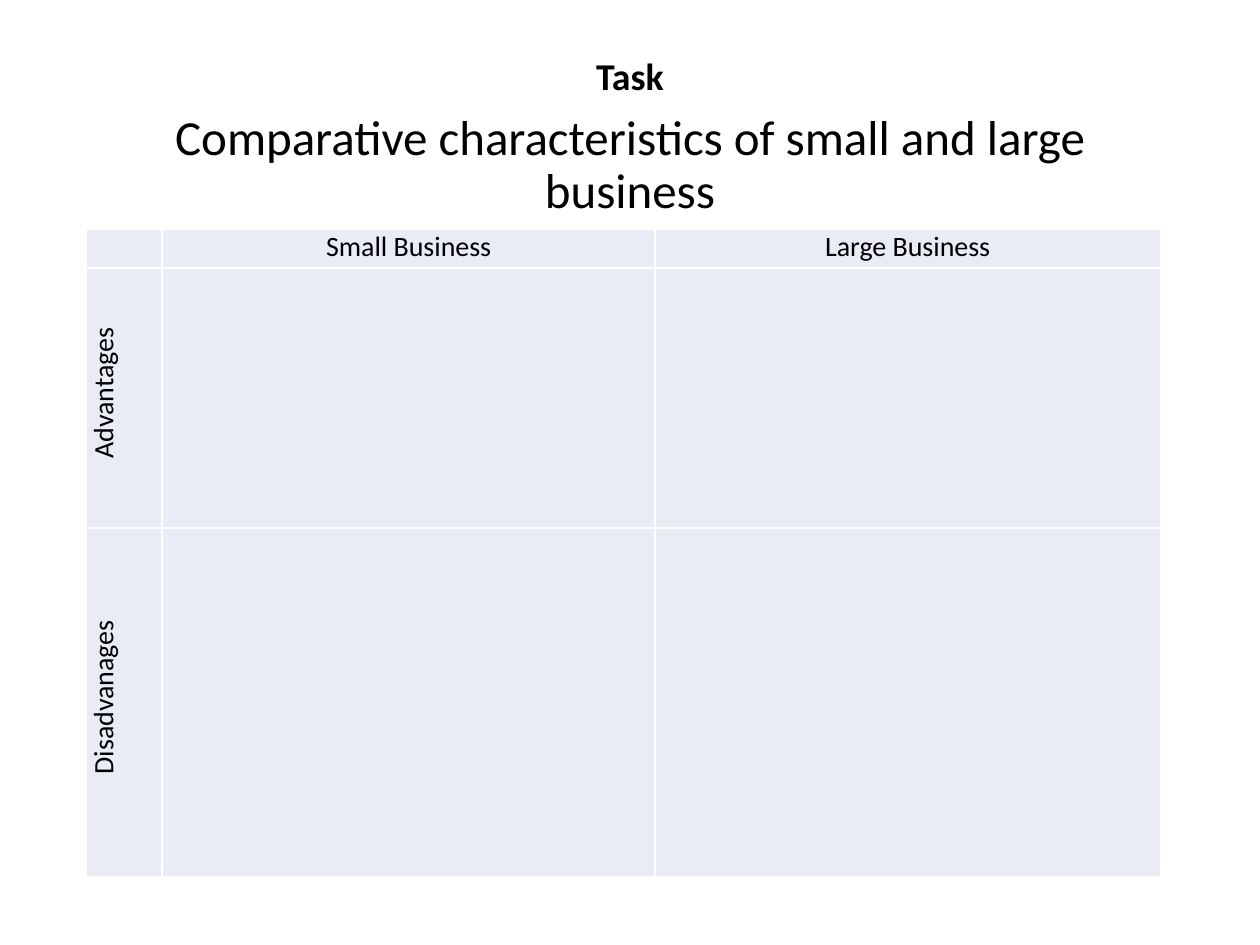
from dataclasses import dataclass

from lxml.etree import SubElement
from pptx import Presentation
from pptx.dml.color import RGBColor
from pptx.enum.text import MSO_ANCHOR, PP_ALIGN
from pptx.oxml.ns import qn
from pptx.util import Pt


@dataclass(frozen=True)
class Theme:
    font: str = "Calibri"
    text: str = "000000"
    cell: str = "E9EBF5"
    border: str = "FFFFFF"
    title_size: float = 21.6
    subtitle_size: float = 28
    table_size: float = 16
    border_width: float = 1


def write(frame, text, theme, size, bold=False, line_spacing=None, indent=0):
    """Fill the frame's first paragraph with one centred span."""
    para = frame.paragraphs[0]
    para.alignment = PP_ALIGN.CENTER
    if line_spacing:
        para.line_spacing = line_spacing
    if indent:
        para._p.get_or_add_pPr().set("marL", str(Pt(indent)))
    span = para.add_run()
    span.text = text
    span.font.name = theme.font
    span.font.size = Pt(size)
    span.font.bold = bold
    span.font.color.rgb = RGBColor.from_string(theme.text)


class SlideBuilder:
    def __init__(self, page, theme):
        self.page = page
        self.theme = theme

    def text(self, text, left, top, width, height, anchor=MSO_ANCHOR.TOP, **style):
        box = self.page.shapes.add_textbox(Pt(left), Pt(top), Pt(width), Pt(height))
        frame = box.text_frame
        frame.word_wrap = True
        frame.vertical_anchor = anchor
        write(frame, text, self.theme, line_spacing=0.9, **style)

    def border(self, cell):
        properties = cell._tc.get_or_add_tcPr()
        for side in ("lnL", "lnR", "lnT", "lnB"):
            line = SubElement(properties, qn(f"a:{side}"), w=str(Pt(self.theme.border_width)))
            fill = SubElement(line, qn("a:solidFill"))
            SubElement(fill, qn("a:srgbClr"), val=self.theme.border)

    def cell(self, cell, text, vertical):
        cell.margin_left = cell.margin_right = Pt(4.5)
        cell.margin_top = cell.margin_bottom = 0
        self.border(cell)
        cell.fill.solid()
        cell.fill.fore_color.rgb = RGBColor.from_string(self.theme.cell)
        if not text:
            return
        if vertical:
            cell._tc.get_or_add_tcPr().set("vert", "vert270")
        write(cell.text_frame, text, self.theme, self.theme.table_size,
              indent=5.76 if vertical else 0)

    def table(self, rows, left, top, widths, heights):
        """Draw a table whose first column, below the header, reads upwards."""
        table = self.page.shapes.add_table(
            len(heights), len(widths), Pt(left), Pt(top), Pt(sum(widths)), Pt(sum(heights))
        ).table
        for column, width in zip(table.columns, widths):
            column.width = Pt(width)
        for row, height in zip(table.rows, heights):
            row.height = Pt(height)
        for r, texts in enumerate(rows):
            for c, text in enumerate(texts):
                self.cell(table.cell(r, c), text, vertical=r > 0 and c == 0)


def main():
    deck = Presentation()
    deck.slide_width, deck.slide_height = Pt(720), Pt(540)
    page = deck.slides.add_slide(deck.slide_layouts[6])
    theme = Theme()
    builder = SlideBuilder(page, theme)

    left, width = 49.5, 621
    builder.text("Task", left, 28.8, width, 32.4, anchor=MSO_ANCHOR.MIDDLE,
                 size=theme.title_size, bold=True)
    builder.text("Comparative characteristics of small and large business",
                 left, 61.2, width, 425.5, size=theme.subtitle_size)
    builder.table(
        [
            ("", "Small Business", "Large Business"),
            ("Advantages", "", ""),
            ("Disadvanages", "", ""),
        ],
        left, 131.2, widths=(43.2, 281.7, 288.7), heights=(22.1, 148.5, 199.3),
    )
    deck.save("out.pptx")


if __name__ == "__main__":
    main()
